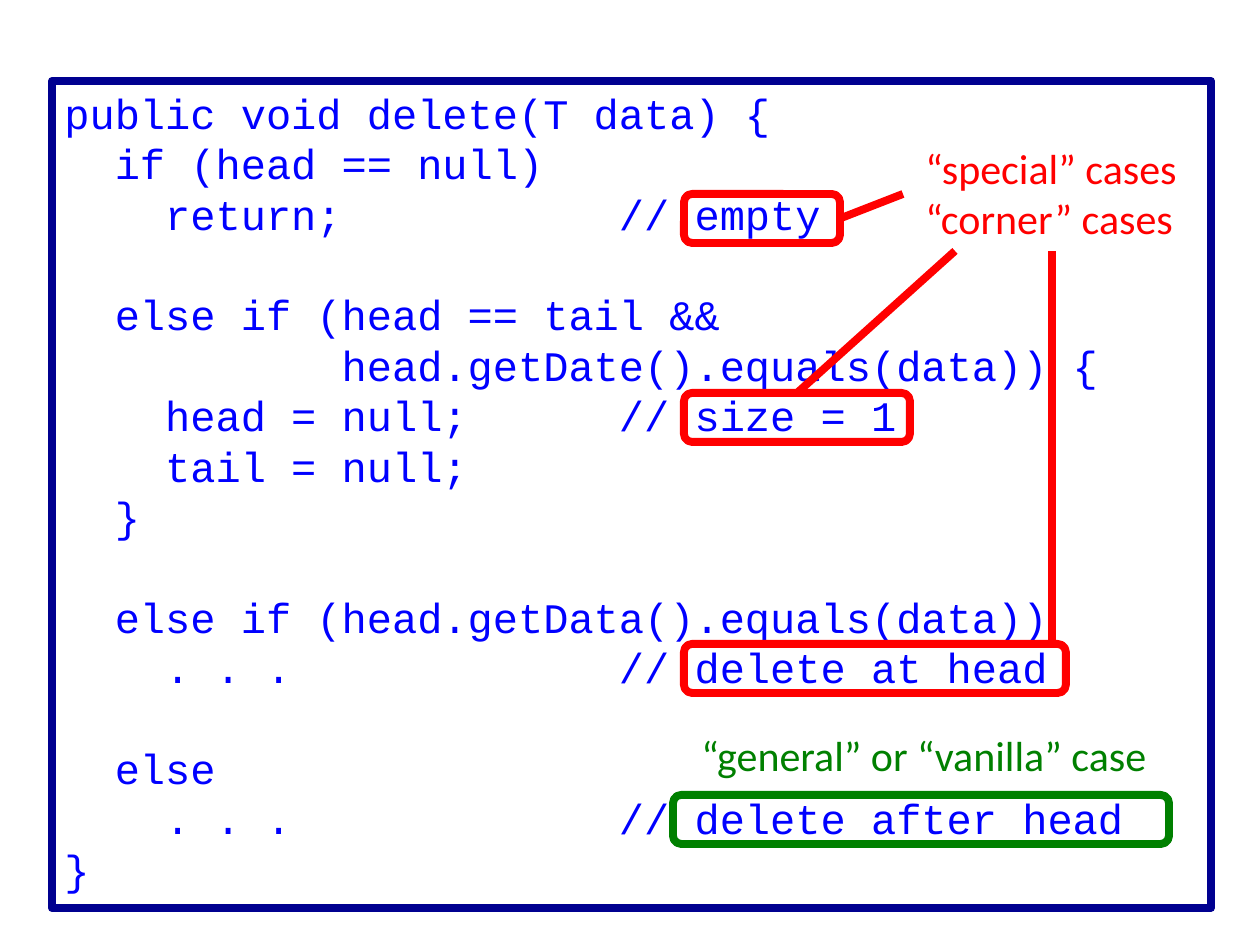
import pptx
import pptx.util
import pptx.dml.color
import pptx.enum.shapes
import pptx.enum.text
import pptx.oxml.ns
import lxml.etree

PX = 914400 // 126
LINE_WIDTH = pptx.util.Pt(4.5)
RED, GREEN, NAVY, BLUE = "FF0000", "008000", "000090", "0000FF"
SHAPES = pptx.enum.shapes.MSO_SHAPE
TOP, RIGHT = 0, 3

CODE = """public void delete(T data) {
  if (head == null)
    return;           // empty

  else if (head == tail &&
           head.getDate().equals(data)) {
    head = null;      // size = 1
    tail = null;
  }

  else if (head.getData().equals(data))
    . . .             // delete at head

  else
    . . .             // delete after head
}"""


def px(*lengths):
    return [length * PX for length in lengths]


def color(value):
    return pptx.dml.color.RGBColor.from_string(value)


def set_line(shape, line_color):
    shape.line.color.rgb = color(line_color)
    shape.line.width = LINE_WIDTH


def add_outline(page, kind, place, line_color):
    shape = page.shapes.add_shape(kind, *px(*place))
    shape.shadow.inherit = False
    shape.fill.background()
    set_line(shape, line_color)
    return shape


def write(box, text, font, text_color, wrap):
    frame = box.text_frame
    frame.text = text
    frame.word_wrap = wrap
    frame.auto_size = pptx.enum.text.MSO_AUTO_SIZE.SHAPE_TO_FIT_TEXT
    frame.vertical_anchor = pptx.enum.text.MSO_ANCHOR.TOP
    for paragraph in frame.paragraphs:
        paragraph.alignment = pptx.enum.text.PP_ALIGN.LEFT
        for item in [paragraph, *paragraph.runs]:
            item.font.name = font
            item.font.size = pptx.util.Pt(24)
            item.font.color.rgb = color(text_color)


def add_label(page, place, text, text_color):
    box = page.shapes.add_textbox(*px(*place))
    write(box, text, "Calibri", text_color, False)


def add_line(page, start, end):
    line = page.shapes.add_connector(
        pptx.enum.shapes.MSO_CONNECTOR.STRAIGHT, *px(*start, *end))
    set_line(line, RED)
    properties = line._element.spPr
    lxml.etree.SubElement(properties, pptx.oxml.ns.qn("a:effectLst"))
    return line


def main():
    deck = pptx.Presentation()
    deck.slide_width, deck.slide_height = px(1260, 945)
    page = deck.slides.add_slide(deck.slide_layouts[6])

    code = add_outline(page, SHAPES.RECTANGLE, (52, 81, 1159, 827), NAVY)
    write(code, CODE, "Courier New", BLUE, True)

    add_outline(page, SHAPES.ROUNDED_RECTANGLE, (673, 795, 496, 49), GREEN)
    add_label(page, (689, 723, 479, 63), "“general” or “vanilla” case", GREEN)

    empty, single, _at_head = [
        add_outline(page, SHAPES.ROUNDED_RECTANGLE, (684, top, width, 49), RED)
        for top, width in [(194, 156), (393, 226), (644, 382)]]
    add_label(page, (913, 136, 281, 115), "“special” cases\n“corner” cases", RED)

    add_line(page, (840, 218), (903, 194)).begin_connect(empty, RIGHT)
    add_line(page, (797, 393), (955, 251)).begin_connect(single, TOP)
    add_line(page, (1052, 644), (1052, 251))

    deck.save("out.pptx")


if __name__ == "__main__":
    main()
